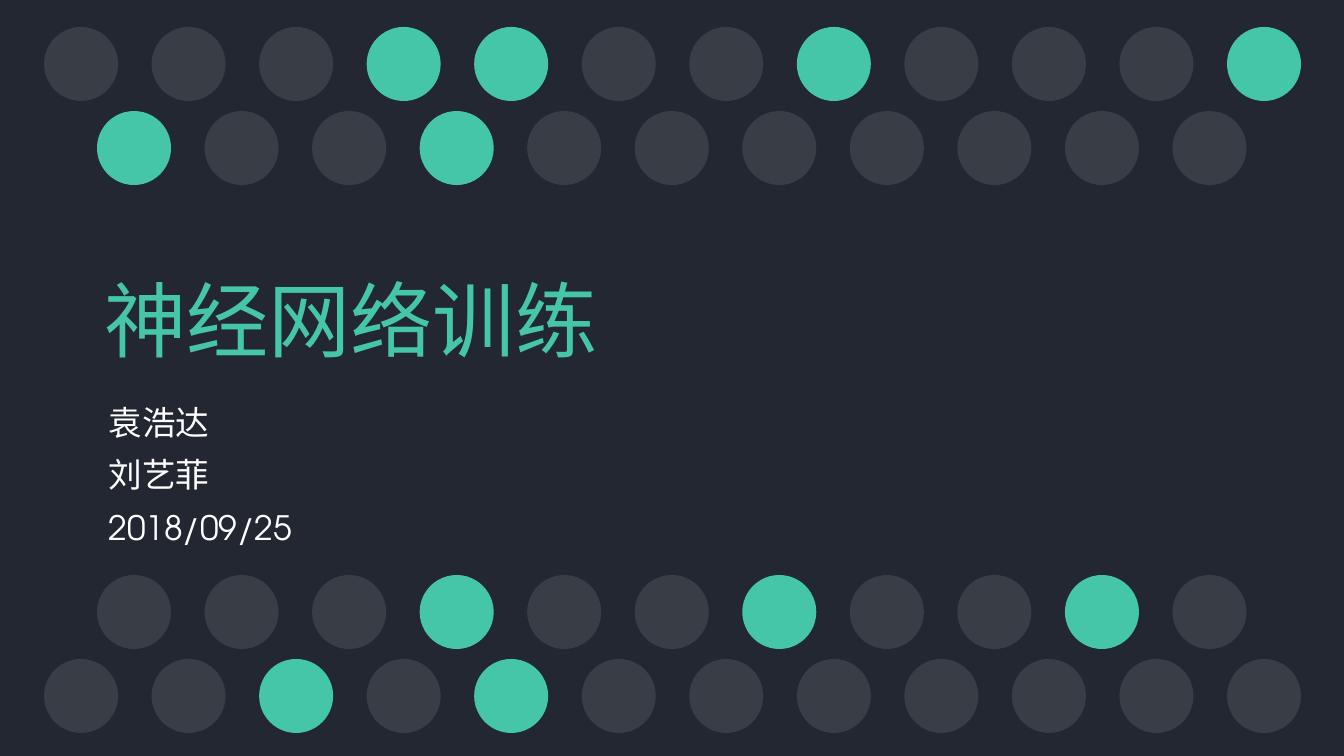
from lxml import etree
from pptx import Presentation
from pptx import util as u
from pptx.dml.color import RGBColor
from pptx.enum import shapes, text
from pptx.oxml import parse_xml
from pptx.oxml.ns import nsdecls, qn

TITLE = "神经网络训练"
DETAILS = ["袁浩达", "刘艺菲", "2018/09/25"]
DARK, GREEN, WHITE = "222732", "46C6A9", "FFFFFF"

# left, top, number of dots, indexes of the green dots
DOT_ROWS = [
    (44, 27, 12, {3, 4, 7, 11}),
    (97, 111, 11, {0, 3}),
    (97, 575, 11, {3, 6, 9}),
    (44, 659, 12, {2, 4}),
]
DOT = 74
PITCH = 1183 / 11
TITLE_BOX = (91, 263, 524, 113)
DETAILS_BOX = (95, 383, 551, 167)


def px(n):
    return u.Emu(round(n * 9144000 / 1344))


def color(h):
    return RGBColor.from_string(h)


def add_dot(s, x, y, lit):
    sp = s.shapes.add_shape(shapes.MSO_SHAPE.OVAL, px(x), px(y), px(DOT), px(DOT))
    sp.shadow.inherit = False
    sp.line.fill.background()
    sp.fill.solid()
    sp.fill.fore_color.rgb = color(GREEN if lit else WHITE)
    if not lit:
        rgb = sp._element.spPr.find(f".//{qn('a:srgbClr')}")
        etree.SubElement(rgb, qn("a:alpha"), val="10000")


def fill_placeholder(sp, box, content, size, font, hex_color, spacing, wrap):
    sp.left, sp.top, sp.width, sp.height = map(px, box)
    tf = sp.text_frame
    tf.text = content
    tf.word_wrap = wrap
    tf.auto_size = text.MSO_AUTO_SIZE.SHAPE_TO_FIT_TEXT
    tf.vertical_anchor = text.MSO_ANCHOR.TOP
    for p in tf.paragraphs:
        p.alignment = text.PP_ALIGN.LEFT
        p.line_spacing = spacing
        p.space_before = u.Pt(0)
        for r in p.runs:
            r.font.size = u.Pt(size)
            r.font.name = font
            r.font.color.rgb = color(hex_color)


def add_text_shadow(r):
    shadow = parse_xml(
        f'<a:effectLst {nsdecls("a")}><a:outerShdw blurRad="38100" dist="38100" '
        'dir="2700000" algn="tl"><a:srgbClr val="000000"><a:alpha val="43000"/>'
        "</a:srgbClr></a:outerShdw></a:effectLst>")
    r.font._element.find(qn("a:solidFill")).addnext(shadow)


def main():
    """Build the cover slide and save it."""
    prs = Presentation()
    prs.slide_width, prs.slide_height = px(1344), px(756)
    s = prs.slides.add_slide(prs.slide_layouts[0])
    s.background.fill.solid()
    s.background.fill.fore_color.rgb = color(DARK)

    for left, top, count, lit in DOT_ROWS:
        for i in range(count):
            add_dot(s, left + i * PITCH, top, i in lit)

    title, details = s.placeholders
    fill_placeholder(title, TITLE_BOX, TITLE, 44, "Arial", GREEN, 1.0, False)
    add_text_shadow(title.text_frame.paragraphs[0].runs[0])
    fill_placeholder(details, DETAILS_BOX, "\n".join(DETAILS), 18,
                     "TeX Gyre Adventor", WHITE, 1.3, True)
    prs.save("out.pptx")


if __name__ == "__main__":
    main()
